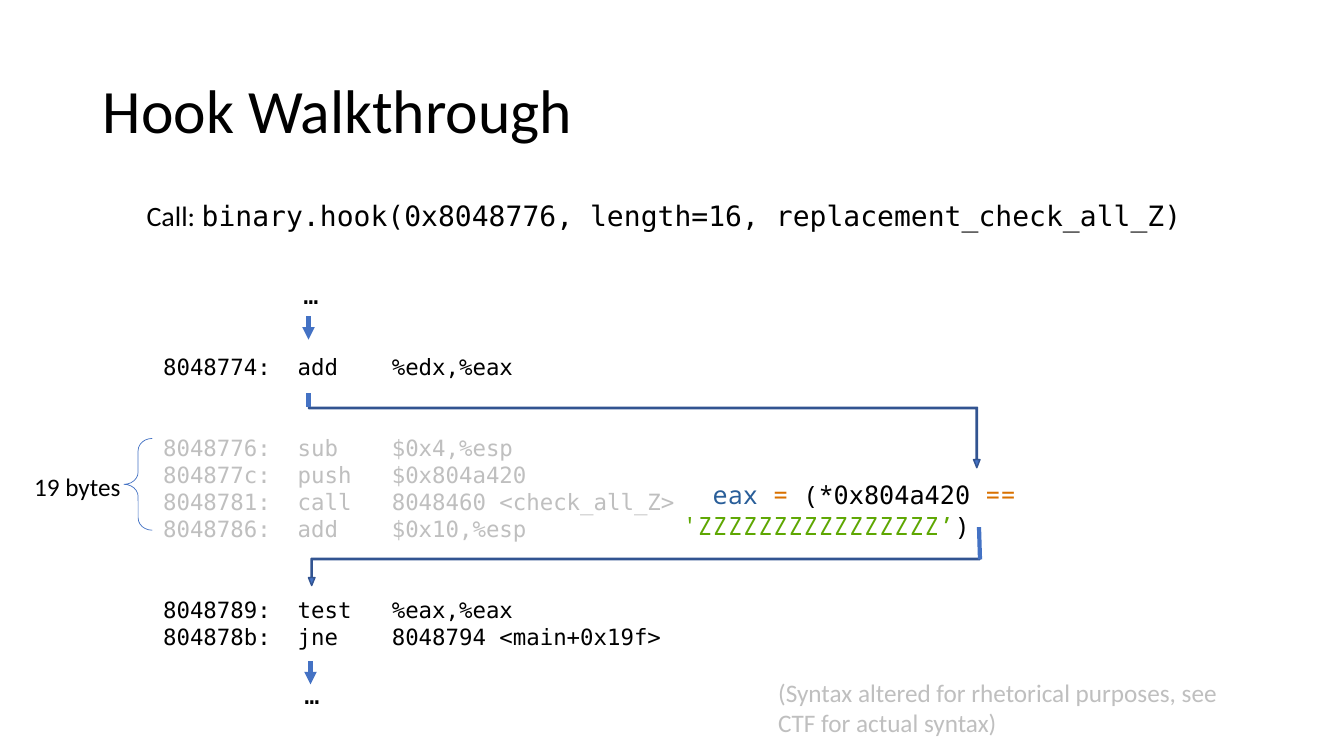
from dataclasses import dataclass

from lxml.etree import SubElement
from pptx import Presentation
from pptx.dml.color import RGBColor
from pptx.enum.shapes import MSO_CONNECTOR, MSO_SHAPE
from pptx.enum.text import MSO_ANCHOR, MSO_AUTO_SIZE as AutoSize, PP_ALIGN
from pptx.oxml.ns import qn
from pptx.slide import Slide
from pptx.text.text import TextFrame
from pptx.util import Inches, Pt


@dataclass(frozen=True)
class Theme:
    sans: str = "Calibri"
    mono: str = "DejaVu Sans Mono"
    expression: str = "Noto Sans Mono"
    black: str = "000000"
    muted: str = "BFBFBF"
    variable: str = "295E99"
    operator: str = "D97100"
    string: str = "5EA702"
    flow: str = "4472C4"
    flow_edge: str = "325491"
    title: int = 44
    call: int = 20
    body: int = 18
    code: int = 16
    code_gap: int = 39


THEME = Theme()


@dataclass(frozen=True)
class Span:
    text: str
    font: str = THEME.sans
    color: str = THEME.black
    size: int = THEME.body


@dataclass(frozen=True)
class Line:
    spans: tuple[Span, ...]
    space_before: int = 0


@dataclass(frozen=True)
class Label:
    box: tuple[float, float, float, float]
    lines: tuple[Line, ...]
    wrap: bool = True
    align: PP_ALIGN = PP_ALIGN.LEFT


@dataclass(frozen=True)
class FlowLine:
    start: tuple[float, float]
    end: tuple[float, float]
    arrow: bool = False


@dataclass(frozen=True)
class Detour:
    """A bent arrow leaving or rejoining the normal flow."""
    box: tuple[float, float, float, float]
    adjustments: tuple[float, float, float]
    flips: tuple[str, ...]
    rotation: int = 0


def code_blocks(*blocks: tuple[str, str]) -> tuple[Line, ...]:
    """Turn (colour, listing) blocks into lines, with a gap between blocks."""
    return tuple(
        Line((Span(code, THEME.mono, color, THEME.code),),
             THEME.code_gap if block and not row else 0)
        for block, (color, listing) in enumerate(blocks)
        for row, code in enumerate(listing.splitlines())
    )


def single(*spans: Span) -> tuple[Line, ...]:
    return (Line(spans),)


HOOKED = """8048776:  sub    $0x4,%esp
804877c:  push   $0x804a420
8048781:  call   8048460 <check_all_Z>
8048786:  add    $0x10,%esp"""
RESUMED = """8048789:  test   %eax,%eax
804878b:  jne    8048794 <main+0x19f>"""
ELLIPSIS = single(Span("…", THEME.mono))

LABELS = (
    Label((0.92, 1.92, 11.5, 0.44), single(
        Span("Call: ", size=THEME.call),
        Span("binary.hook(0x8048776, length=16, replacement_check_all_Z) ",
             THEME.mono, size=THEME.call)), align=PP_ALIGN.CENTER),
    Label((1.52, 3.45, 5.36, 3.33), code_blocks(
        (THEME.black, "8048774:  add    %edx,%eax"),
        (THEME.muted, HOOKED),
        (THEME.black, RESUMED))),
    Label((6.67, 4.71, 6.42, 0.4), single(
        Span("  eax ", THEME.expression, THEME.variable),
        Span("= ", THEME.expression, THEME.operator),
        Span("(*", THEME.expression),
        Span("0x804a420 ", THEME.mono),
        Span("== ", THEME.expression, THEME.operator),
        Span("'ZZZZZZZZZZZZZZZZ’", THEME.expression, THEME.string),
        Span(")", THEME.expression))),
    Label((0.24, 4.63, 1.07, 0.4), single(Span("19 bytes")), wrap=False),
    Label((2.91, 2.72, 0.34, 0.4), ELLIPSIS, wrap=False),
    Label((2.92, 6.69, 0.34, 0.4), ELLIPSIS, wrap=False),
    Label((7.62, 6.67, 4.94, 0.71), single(
        Span("(Syntax altered for rhetorical purposes, see CTF for actual syntax)",
             color=THEME.muted))),
)
DETOURS = (
    Detour((3.06, 4.04, 6.66, 0.6), (0.021, 0.053, 0.135), ("flipH",), 180),
    Detour((3.06, 5.54, 6.66, 0.27), (0.043, 0.119, 0.295), ("flipH", "flipV")),
)
FLOW_LINES = (
    FlowLine((3.06, 3.14), (3.06, 3.37), arrow=True),
    FlowLine((3.06, 4.04), (3.06, 3.9)),
    FlowLine((9.72, 5.55), (9.71, 5.23)),
    FlowLine((3.08, 6.56), (3.08, 6.79), arrow=True),
)


def rgb(color: str) -> RGBColor:
    return RGBColor.from_string(color)


def write_lines(frame: TextFrame, lines: tuple[Line, ...], align: PP_ALIGN) -> None:
    for index, line in enumerate(lines):
        paragraph = frame.add_paragraph() if index else frame.paragraphs[0]
        paragraph.alignment = align
        if line.space_before:
            paragraph.space_before = Pt(line.space_before)
        for span in line.spans:
            run = paragraph.add_run()
            run.text = span.text
            run.font.name = span.font
            run.font.size = Pt(span.size)
            run.font.color.rgb = rgb(span.color)


def add_title(slide: Slide, text: str) -> None:
    title = slide.shapes.title
    title.left, title.top, title.width, title.height = map(Inches, (0.92, 0.4, 11.5, 1.45))
    frame = title.text_frame
    frame.auto_size = AutoSize.NONE
    frame.vertical_anchor = MSO_ANCHOR.MIDDLE
    write_lines(frame, single(Span(text, size=THEME.title)), PP_ALIGN.LEFT)
    frame.paragraphs[0].line_spacing = 0.9


def add_label(slide: Slide, label: Label) -> None:
    frame = slide.shapes.add_textbox(*map(Inches, label.box)).text_frame
    frame.word_wrap = label.wrap
    frame.auto_size = AutoSize.SHAPE_TO_FIT_TEXT
    write_lines(frame, label.lines, label.align)


def add_brace(slide: Slide) -> None:
    brace = slide.shapes.add_shape(MSO_SHAPE.LEFT_BRACE, *map(Inches, (1.23, 4.35, 0.28, 0.91)))
    brace.shadow.inherit = False
    brace.adjustments[0] = 0.433
    brace.fill.background()
    brace.line.color.rgb = rgb(THEME.flow)
    brace.line.width = Pt(0.5)


def add_detour(slide: Slide, detour: Detour) -> None:
    arrow = slide.shapes.add_shape(MSO_SHAPE.BENT_UP_ARROW, *map(Inches, detour.box))
    arrow.shadow.inherit = False
    for index, value in enumerate(detour.adjustments):
        arrow.adjustments[index] = value
    arrow.rotation = detour.rotation
    for flip in detour.flips:
        arrow.element.spPr.xfrm.set(flip, "1")
    arrow.fill.solid()
    arrow.fill.fore_color.rgb = rgb(THEME.flow)
    arrow.line.color.rgb = rgb(THEME.flow_edge)
    arrow.line.width = Pt(1)


def add_flow_line(slide: Slide, flow: FlowLine) -> None:
    connector = slide.shapes.add_connector(
        MSO_CONNECTOR.STRAIGHT, *map(Inches, flow.start + flow.end))
    connector.line.color.rgb = rgb(THEME.flow)
    connector.line.width = Pt(3)
    if flow.arrow:
        SubElement(connector.line._get_or_add_ln(), qn("a:tailEnd"), type="triangle")
    SubElement(connector.element.spPr, qn("a:effectLst"))


def main() -> None:
    deck = Presentation()
    deck.slide_width, deck.slide_height = Inches(13.33), Inches(7.5)
    slide = deck.slides.add_slide(deck.slide_layouts.get_by_name("Title Only"))
    add_title(slide, "Hook Walkthrough")
    for label in LABELS:
        add_label(slide, label)
    add_brace(slide)
    for detour in DETOURS:
        add_detour(slide, detour)
    for flow in FLOW_LINES:
        add_flow_line(slide, flow)
    deck.save("out.pptx")


if __name__ == "__main__":
    main()
